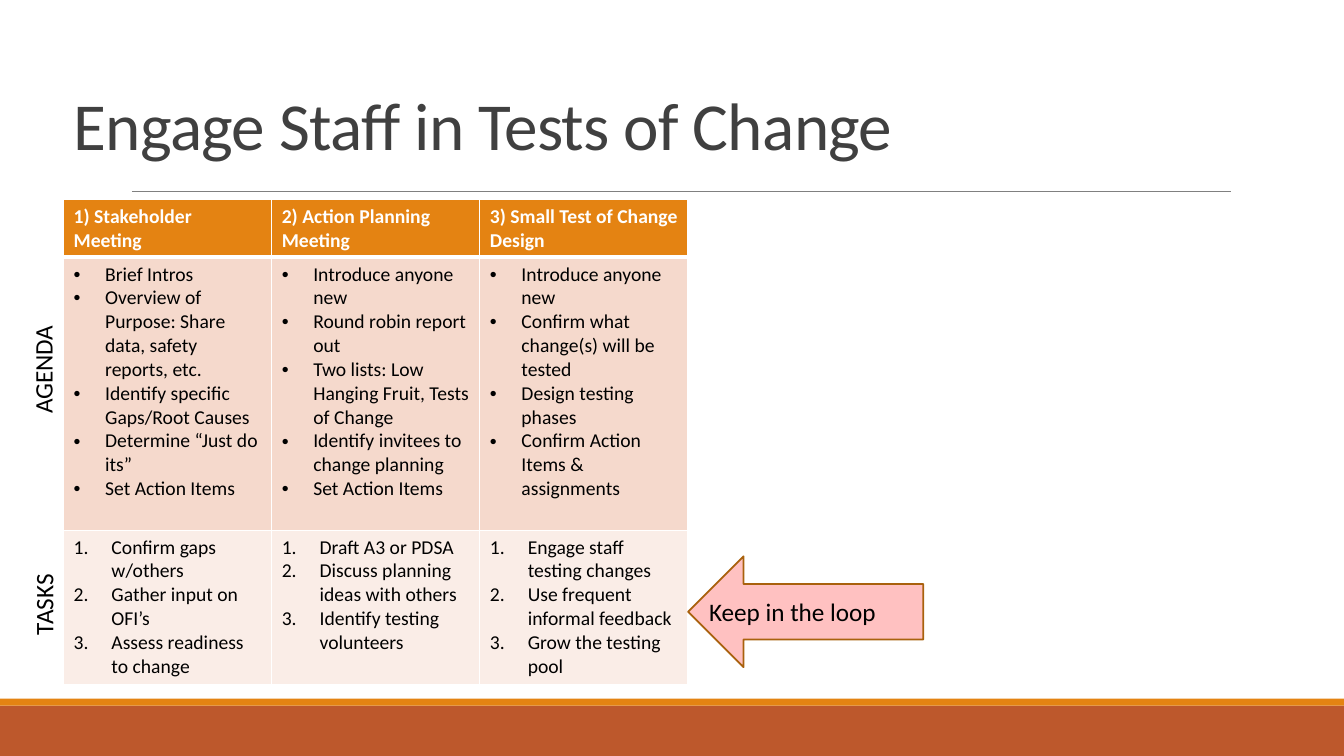
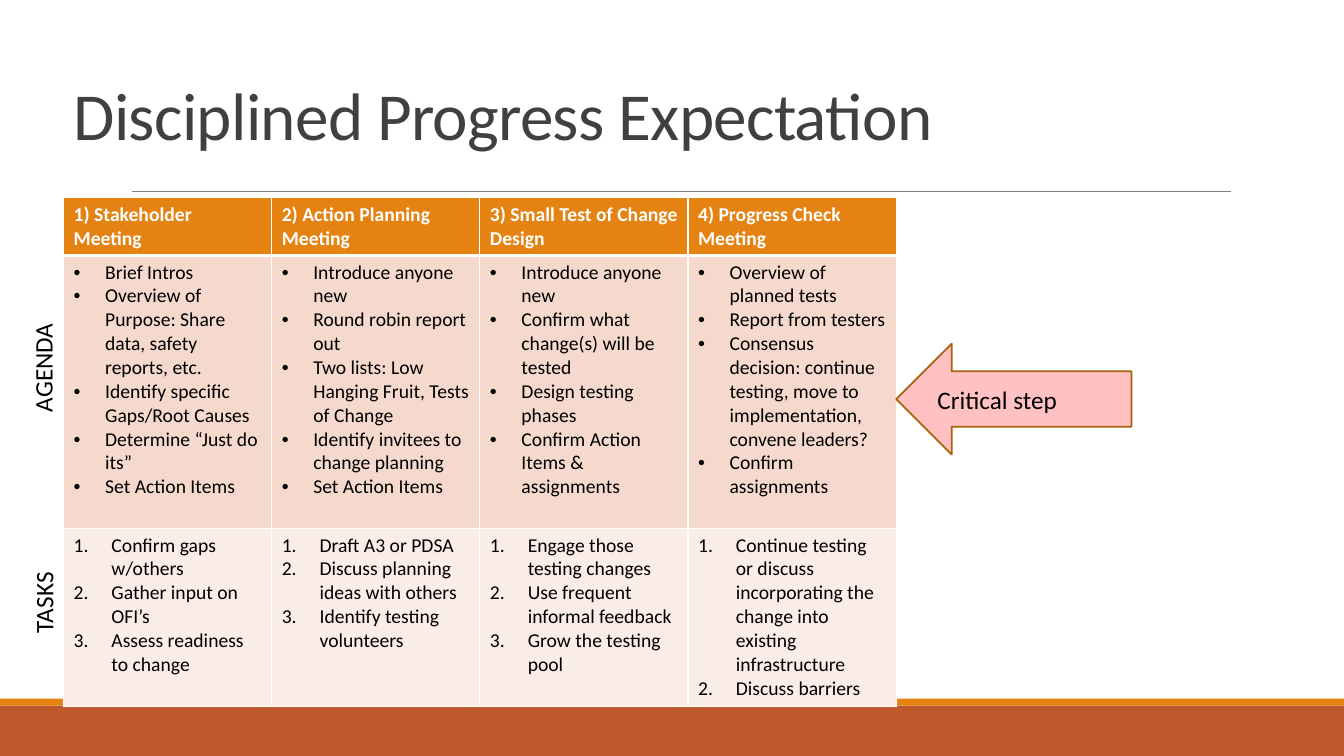
from lxml.etree import SubElement as Sub
from pptx import Presentation
from pptx.dml.color import RGBColor as RGB
from pptx.enum.shapes import MSO_CONNECTOR as LINE, MSO_SHAPE as SHAPE
from pptx.enum.text import MSO_ANCHOR as ANCHOR, MSO_AUTO_SIZE as FIT, PP_ALIGN as ALIGN
from pptx.oxml.ns import qn
from pptx.util import Pt

WHITE = RGB(0xFF, 0xFF, 0xFF)
BLACK = RGB(0x00, 0x00, 0x00)
DARK = RGB(0x40, 0x40, 0x40)
GRAY = RGB(0x80, 0x80, 0x80)
RUST = RGB(0xBD, 0x58, 0x2C)
ORANGE = RGB(0xE4, 0x83, 0x12)
BROWN = RGB(0xA9, 0x61, 0x0D)
PINK = RGB(0xFF, 0xC1, 0xC1)
PEACH = RGB(0xF5, 0xD9, 0xCC)
CREAM = RGB(0xFA, 0xED, 0xE7)

WIDTH, HEIGHT = 960, 540
LEFT, COL = 45.4, 148.7
HEAD_H, AGENDA_H = 41, 195
FONT = "Calibri"
TITLE = dict(size=Pt(48), bold=False, color=DARK)
HEADER = dict(size=Pt(14), bold=True, color=WHITE)
BODY = dict(size=Pt(14), bold=False, color=BLACK)
LABEL = dict(size=Pt(18), bold=False, color=BLACK)

# Each list style: indent in points, marker tag, marker attributes
BULLET = (22.5, "a:buChar", {"char": "•"})
NUMBER = (27, "a:buAutoNum", {"type": "arabicPeriod"})


def get_cols(who):
    """Header, agenda and tasks of each meeting; who names the people engaged."""
    return [
        ("1) Stakeholder Meeting",
         ["Brief Intros",
          "Overview of Purpose: Share data, safety reports, etc.",
          "Identify specific Gaps/Root Causes",
          "Determine “Just do its”",
          "Set Action Items"],
         ["Confirm gaps w/others",
          "Gather input on OFI’s",
          "Assess readiness to change"]),
        ("2) Action Planning Meeting",
         ["Introduce anyone new",
          "Round robin report out",
          "Two lists: Low Hanging Fruit, Tests of Change",
          "Identify invitees to change planning",
          "Set Action Items"],
         ["Draft A3 or PDSA",
          "Discuss planning ideas with others",
          "Identify testing volunteers"]),
        ("3) Small Test of Change Design",
         ["Introduce anyone new",
          "Confirm what change(s) will be tested",
          "Design testing phases",
          "Confirm Action Items & assignments"],
         [f"Engage {who} testing changes",
          "Use frequent informal feedback",
          "Grow the testing pool"]),
    ]


CHECK = ("4) Progress Check Meeting",
         ["Overview of planned tests",
          "Report from testers",
          "Consensus decision: continue testing, move to implementation, convene leaders?",
          "Confirm assignments"],
         ["Continue testing or discuss incorporating the change into existing infrastructure",
          "Discuss barriers"])


def write(par, text, form):
    run = par.add_run()
    run.text = text
    run.font.name = FONT
    for key, val in form.items():
        if key == "color":
            run.font.color.rgb = val
        else:
            setattr(run.font, key, val)
    return run


def add_block(slide, kind, box, fill, line=None):
    shape = slide.shapes.add_shape(kind, *map(Pt, box))
    shape.shadow.inherit = False
    shape.fill.solid()
    shape.fill.fore_color.rgb = fill
    if line:
        shape.line.color.rgb = line
        shape.line.width = Pt(1.25)
    else:
        shape.line.fill.background()
    return shape


def add_label(slide, text, box, turn=0):
    label = slide.shapes.add_textbox(*map(Pt, box))
    label.rotation = turn
    label.text_frame.word_wrap = True
    write(label.text_frame.paragraphs[0], text, LABEL)


def add_frame(slide, layout):
    """Draw the rule and bottom bands, then move them to the shared layout."""
    low = add_block(slide, SHAPE.RECTANGLE, (0, 504, WIDTH, 36), RUST)
    high = add_block(slide, SHAPE.RECTANGLE, (0, 499, WIDTH, 5), ORANGE)
    rule = slide.shapes.add_connector(LINE.STRAIGHT, Pt(94.3), Pt(136.8), Pt(879), Pt(136.8))
    rule.line.color.rgb = GRAY
    rule.line.width = Pt(0.5)
    Sub(rule.element.spPr, qn("a:effectLst"))
    for part in (low, high, rule):
        layout.shapes.element.append(part.element)


def set_title(slide, text, top):
    title = slide.shapes.title
    title.left, title.top, title.width, title.height = map(Pt, (LEFT, top, 828, 104.4))
    frame = title.text_frame
    frame.auto_size = FIT.NONE
    frame.vertical_anchor = ANCHOR.BOTTOM
    par = frame.paragraphs[0]
    par.alignment = ALIGN.LEFT
    par.line_spacing = 0.85
    write(par, text, TITLE)._r.get_or_add_rPr().set("spc", "-50")


def add_edges(cell, row):
    """Draw white cell borders, thick below the header row."""
    props = cell._tc.get_or_add_tcPr()
    thick = {(0, "lnB"), (1, "lnT")}
    for side in ("lnL", "lnR", "lnT", "lnB"):
        width = 3 if (row, side) in thick else 1
        edge = Sub(props, qn("a:" + side), w=str(Pt(width)))
        fill = Sub(edge, qn("a:solidFill"))
        Sub(fill, qn("a:srgbClr"), val=str(WHITE))


def fill_cell(cell, items, form, style):
    for i, item in enumerate(items):
        frame = cell.text_frame
        par = frame.add_paragraph() if i else frame.paragraphs[0]
        if style:
            indent, tag, attrs = style
            props = par._p.get_or_add_pPr()
            props.set("marL", str(Pt(indent)))
            props.set("indent", str(-Pt(indent)))
            if style is BULLET:
                Sub(props, qn("a:buFont"), typeface="Arial")
            Sub(props, qn(tag), attrs)
        write(par, item, form)


def add_grid(slide, cols, top, task_h):
    highs = (HEAD_H, AGENDA_H, task_h)
    box = (LEFT, top, COL * len(cols), sum(highs))
    table = slide.shapes.add_table(len(highs), len(cols), *map(Pt, box)).table
    table.first_row = table.horz_banding = False
    for row, high in zip(table.rows, highs):
        row.height = Pt(high)
    looks = ((ORANGE, HEADER, None), (PEACH, BODY, BULLET), (CREAM, BODY, NUMBER))
    for c, (head, agenda, tasks) in enumerate(cols):
        table.columns[c].width = Pt(COL)
        for r, items in enumerate(([head], agenda, tasks)):
            cell = table.cell(r, c)
            fill, form, style = looks[r]
            add_edges(cell, r)
            cell.fill.solid()
            cell.fill.fore_color.rgb = fill
            fill_cell(cell, items, form, style)
    add_label(slide, "AGENDA", (-36, top + 79.2, 133.2, 29), 270)
    add_label(slide, "TASKS", (-8.6, top + 264.2, 79.2, 29), 270)


def add_arrow(slide, text, left, top, shift):
    add_block(slide, SHAPE.LEFT_ARROW, (left, top, 168, 79.2), PINK, BROWN)
    add_label(slide, text, (left + shift, top + 25.2, 168 - shift, 29))


def main():
    deck = Presentation()
    deck.slide_width, deck.slide_height = Pt(WIDTH), Pt(HEIGHT)
    layout = deck.slide_layouts[5]
    # title, title top, columns, table top, task height, arrow text, arrow top, text shift
    plans = (
        ("Engage Staff in Tests of Change", 16.6, get_cols("staff"), 142.5, 110,
         "Keep in the loop", 397.4, 7.9),
        ("Disciplined Progress Expectation", 9.4, get_cols("those") + [CHECK], 141.1, 127,
         "Critical step", 245.5, 22.3),
    )
    for i, (title, high, cols, top, task_h, note, note_top, shift) in enumerate(plans):
        slide = deck.slides.add_slide(layout)
        if i == 0:
            add_frame(slide, layout)
        set_title(slide, title, high)
        add_grid(slide, cols, top, task_h)
        add_arrow(slide, note, LEFT + COL * len(cols), note_top, shift)
    deck.save("out.pptx")


if __name__ == "__main__":
    main()
